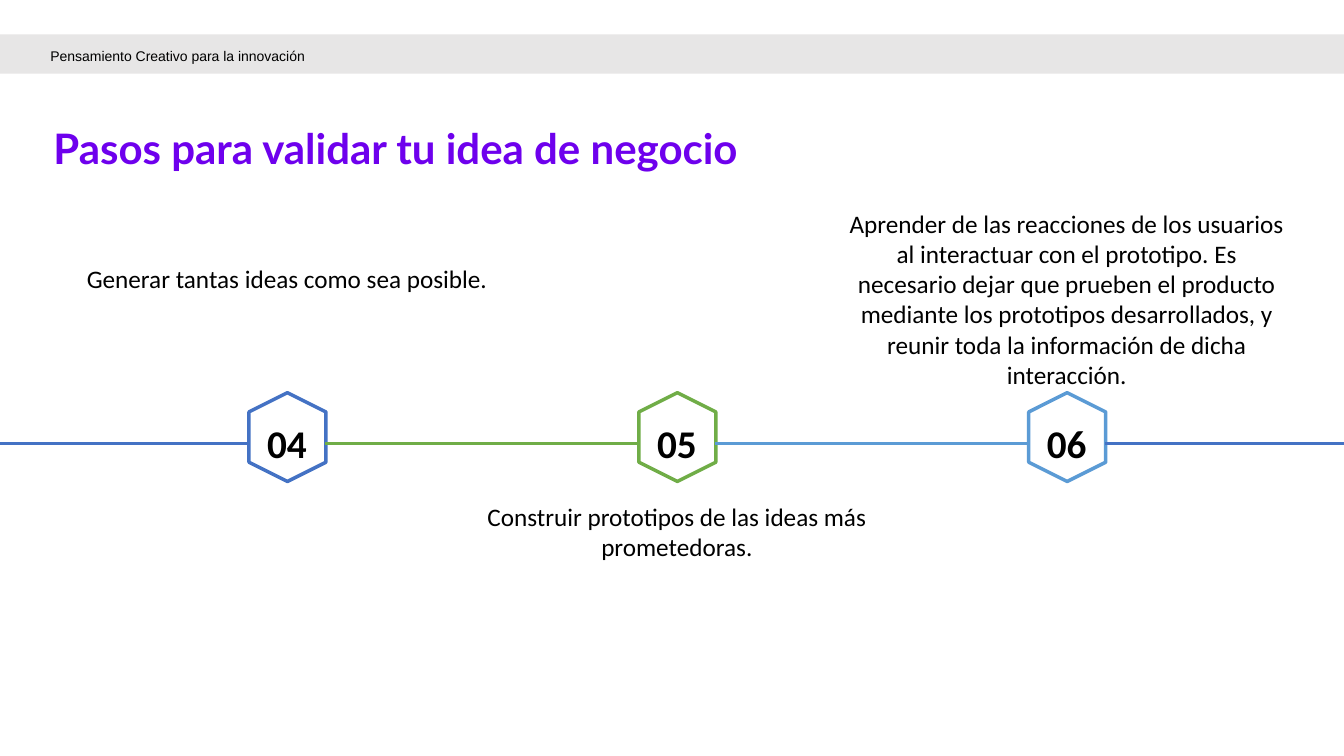
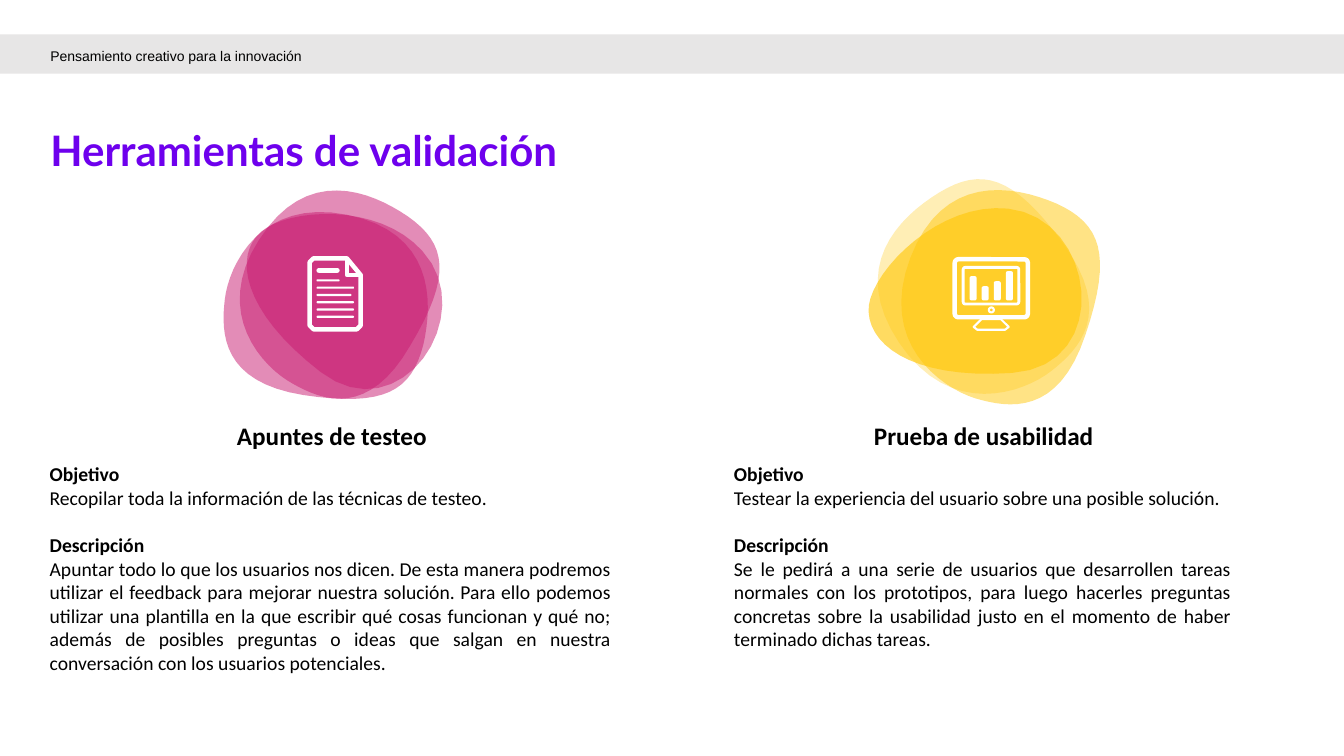
from lxml import etree
from pptx import Presentation
from pptx.dml.color import RGBColor
from pptx.enum.shapes import MSO_CONNECTOR, MSO_SHAPE
from pptx.enum.text import MSO_ANCHOR, MSO_AUTO_SIZE, PP_ALIGN
from pptx.oxml.ns import qn
from pptx.util import Pt

LEFT, CENTER, JUSTIFY = PP_ALIGN.LEFT, PP_ALIGN.CENTER, PP_ALIGN.JUSTIFY
TOP, MIDDLE = MSO_ANCHOR.TOP, MSO_ANCHOR.MIDDLE
RECTANGLE, ROUNDED = MSO_SHAPE.RECTANGLE, MSO_SHAPE.ROUNDED_RECTANGLE
OVAL, HEXAGON = MSO_SHAPE.OVAL, MSO_SHAPE.HEXAGON
STRAIGHT = MSO_CONNECTOR.STRAIGHT

BLACK = RGBColor(0x00, 0x00, 0x00)
WHITE = RGBColor(0xFF, 0xFF, 0xFF)
GRAY = RGBColor(0xE7, 0xE6, 0xE6)
PURPLE = RGBColor(0x6E, 0x00, 0xED)
BLUE = RGBColor(0x44, 0x72, 0xC4)
GREEN = RGBColor(0x70, 0xAD, 0x47)
SKY = RGBColor(0x5B, 0x9B, 0xD5)
YELLOW = RGBColor(0xFF, 0xC8, 0x0D)
PINK = RGBColor(0xC9, 0x1B, 0x71)

WIDTH, HEIGHT = 960, 540


def curve_points(controls, steps=16):
    """Sample a closed chain of cubic curves: anchor, control, control, ..."""
    points = []
    for start in range(0, len(controls), 3):
        a, b, c, d = (controls[(start + k) % len(controls)] for k in range(4))
        for step in range(steps):
            t = step / steps
            u = 1 - t
            points.append(tuple(
                u**3 * a[i] + 3 * u * u * t * b[i] + 3 * u * t * t * c[i] + t**3 * d[i]
                for i in (0, 1)))
    return points


class Deck:
    """The presentation style together with the current page."""

    def __init__(self):
        self.file = Presentation()
        self.file.slide_width, self.file.slide_height = Pt(WIDTH), Pt(HEIGHT)
        self.page = None

    def add_page(self, header, title, left, top):
        self.page = self.file.slides.add_slide(self.file.slide_layouts[1])
        # The band goes behind the placeholders
        band = self.shape(RECTANGLE, 0, 24.5, WIDTH, 28.2, fill=GRAY)
        self.page.shapes._spTree.insert(2, band._element)
        self.placeholder(self.page.shapes.title, title, (left, top, 717, 37.5),
                         MIDDLE, 0.6, 30, "Lato", PURPLE, True)
        self.placeholder(self.page.placeholders[1], header, (36, 28, 295, 23),
                         TOP, 1.5, 10, "Arial", BLACK, False)

    def placeholder(self, box, text, place, anchor, spacing, size, name, color, bold):
        box.left, box.top, box.width, box.height = map(Pt, place)
        frame = box.text_frame
        frame.auto_size, frame.word_wrap = MSO_AUTO_SIZE.NONE, True
        frame.margin_left = frame.margin_right = 0
        frame.margin_top = frame.margin_bottom = 0
        frame.vertical_anchor = anchor
        para = frame.paragraphs[0]
        para.text = text
        properties = para._p.get_or_add_pPr()
        properties.set("marL", "0")
        properties.set("indent", "0")
        etree.SubElement(properties, qn("a:buNone"))
        para.line_spacing = spacing
        self.format(para, LEFT, size, bold, name, color)

    def format(self, para, align, size, bold, name="Calibri", color=BLACK, before=0):
        para.alignment, para.space_before = align, Pt(before)
        font = para.font
        font.size, font.bold, font.name = Pt(size), bold, name
        font.color.rgb = color

    def text(self, left, top, width, height, paragraphs, size, align=CENTER):
        """Each paragraph is a tuple: text, bold, space before."""
        box = self.page.shapes.add_textbox(Pt(left), Pt(top), Pt(width), Pt(height))
        frame = box.text_frame
        frame.word_wrap = True
        for index, (text, bold, before) in enumerate(paragraphs):
            para = frame.add_paragraph() if index else frame.paragraphs[0]
            para.text = text
            self.format(para, align, size, bold, before=before)

    def paint(self, shape, fill, line, weight, opacity=100):
        shape.shadow.inherit = False
        if fill is None:
            shape.fill.background()
        else:
            shape.fill.solid()
            shape.fill.fore_color.rgb = fill
            if opacity < 100:
                color = shape._element.spPr.find(".//" + qn("a:srgbClr"))
                etree.SubElement(color, qn("a:alpha"), val=str(opacity * 1000))
        if line is None:
            shape.line.fill.background()
        else:
            shape.line.color.rgb = line
            shape.line.width = Pt(weight)

    def shape(self, kind, left, top, width, height, fill=None, line=None,
              weight=0, rounding=None):
        shape = self.page.shapes.add_shape(kind, Pt(left), Pt(top), Pt(width), Pt(height))
        self.paint(shape, fill, line, weight)
        if rounding is not None:
            shape.adjustments[0] = rounding
        return shape

    def outline(self, points, fill=None, line=None, weight=0, opacity=100, close=True):
        first, *rest = [(Pt(x), Pt(y)) for x, y in points]
        builder = self.page.shapes.build_freeform(*first)
        builder.add_line_segments(rest, close=close)
        self.paint(builder.convert_to_shape(), fill, line, weight, opacity)

    def line(self, start, end, y, color):
        line = self.page.shapes.add_connector(STRAIGHT, Pt(start), Pt(y), Pt(end), Pt(y))
        line.line.color.rgb = color
        line.line.width = Pt(2.5)
        etree.SubElement(line._element.spPr, qn("a:effectLst"))


# Timeline: number, colour, top and height of the caption, caption
STEPS = [
    ("04", BLUE, 184.3, 29, "Generar tantas ideas como sea posible."),
    ("05", GREEN, 354.2, 51, "Construir prototipos de las ideas más prometedoras."),
    ("06", SKY, 145, 138,
     "Aprender de las reacciones de los usuarios al interactuar con el prototipo. "
     "Es necesario dejar que prueben el producto mediante los prototipos "
     "desarrollados, y reunir toda la información de dicha interacción."),
]
FIRST_CENTER, STEP_GAP, HALF_GAP = 205, 278.5, 27.5

# Overlapping blobs: opacity and curve points
YELLOW_BLOBS = [
    (30, [(671, 137.5), (641.5, 155.5), (606.2, 190.8), (642.2, 244.8),
          (679, 299.5), (730.8, 280.8), (751, 265), (771.1, 249.1),
          (795.6, 223.9), (759.6, 174.2), (723.6, 124.6), (700.6, 119.5)]),
    (50, [(754.6, 145.4), (722.9, 131.8), (673.2, 123.8), (650.2, 184.3),
          (627.1, 244.8), (671.8, 276.5), (696.2, 284.4), (720.7, 291.6),
          (756, 297.4), (775.4, 239), (794.9, 181.4), (786.2, 159.8)]),
    (65, [(720, 149), (671, 144), (624.2, 192.2), (620.6, 218.2), (617.8, 244.1),
          (648.7, 271.4), (722.9, 266.4), (796.3, 261.4), (782.6, 155.5)]),
]
PINK_BLOBS = [
    (50, [(291.6, 154.8), (264.2, 136.1), (218.9, 118.1), (185, 171.4),
          (151.2, 223.9), (187.9, 262.8), (209.5, 274.3), (231.1, 286.6),
          (263.5, 298.1), (293, 247), (323.3, 196.6), (319, 174.2)]),
    (50, [(302.4, 246.2), (309.6, 214.6), (309.6, 165.6), (247.7, 153.4),
          (186.5, 141.1), (163.4, 189.4), (160.6, 213.8), (157.7, 238.3),
          (158.4, 272.9), (216.7, 282.2), (275, 290.9), (293.8, 279.4)]),
    (50, [(301.7, 179.3), (270, 144), (205.2, 149), (186.5, 165.6), (167, 182.2),
          (172.1, 221.8), (229, 265.7), (285.8, 309.6), (343.4, 224.6)]),
]

# Tools: colour, blobs, name and its left, text left and width, goal, description
TOOLS = [
    (YELLOW, YELLOW_BLOBS, "Prueba de usabilidad", 604.8, 517.2, 369.4,
     "Testear la experiencia del usuario sobre una posible solución.",
     "Se le pedirá a una serie de usuarios que desarrollen tareas normales con los "
     "prototipos, para luego hacerles preguntas concretas sobre la usabilidad justo "
     "en el momento de haber terminado dichas tareas."),
    (PINK, PINK_BLOBS, "Apuntes de testeo", 139.2, 28.4, 415.4,
     "Recopilar toda la información de las técnicas de testeo.",
     "Apuntar todo lo que los usuarios nos dicen. De esta manera podremos utilizar "
     "el feedback para mejorar nuestra solución. Para ello podemos utilizar una "
     "plantilla en la que escribir qué cosas funcionan y qué no; además de posibles "
     "preguntas o ideas que salgan en nuestra conversación con los usuarios "
     "potenciales."),
]


def add_steps(deck):
    deck.add_page("Pensamiento Creativo para la innovación",
                  "Pasos para validar tu idea de negocio", 38.2, 92.2)
    start = 0
    for index, (number, color, top, height, caption) in enumerate(STEPS):
        center = FIRST_CENTER + index * STEP_GAP
        deck.line(start, center - HALF_GAP, 316.8, color)
        start = center + HALF_GAP
        deck.text(center - 164.5, top, 329, height, [(caption, False, 0)], 18)
        hexagon = deck.shape(HEXAGON, center - 31.4, 284.7, 63.4, 55,
                             line=color, weight=2.5)
        hexagon.rotation = 90
        deck.text(center - HALF_GAP, 296, 2 * HALF_GAP, 41, [(number, True, 0)], 28)
    deck.line(start, WIDTH, 316.8, BLUE)


def add_monitor(deck):
    deck.shape(ROUNDED, 682, 185.2, 52.2, 41.4, line=WHITE, weight=3.2, rounding=0.06)
    deck.shape(ROUNDED, 688, 191, 39.8, 26.2, line=WHITE, weight=2, rounding=0.06)
    for index, height in enumerate((17.3, 10.1, 13.7, 20.9)):
        deck.shape(ROUNDED, 692.6 + 8.64 * index, 214.6 - height, 5, height,
                   fill=WHITE, rounding=0.25)
    deck.shape(OVAL, 706.3, 219.6, 3.6, 3.6, line=WHITE, weight=1.5)
    deck.outline([(701, 228), (695.5, 233.5), (698, 235.5), (718, 235.5),
                  (720.5, 233.5), (715, 228)], line=WHITE, weight=1.5)


def add_document(deck):
    deck.outline([(224, 184.5), (247.8, 184.5), (257.7, 196.5), (257.7, 232.4),
                  (254.9, 235.2), (224, 235.2), (221.2, 232.4), (221.2, 187.3)],
                 line=WHITE, weight=3.2)
    deck.outline([(247.8, 184.5), (247.8, 196.5), (257.7, 196.5)],
                 line=WHITE, weight=3.2, close=False)
    deck.shape(ROUNDED, 226.1, 191.5, 16.5, 3.4, fill=WHITE, rounding=0.5)
    for index, width in enumerate((16.5, 26.8, 25, 26.8, 26.8, 26.8)):
        deck.shape(ROUNDED, 226.1, 199.5 + 5.2 * index, width, 1.6,
                   fill=WHITE, rounding=0.5)


def add_tools(deck):
    deck.add_page("Pensamiento creativo para la innovación",
                  "Herramientas de validación", 36, 93.6)
    for color, blobs, name, name_left, left, width, goal, description in TOOLS:
        for opacity, controls in blobs:
            deck.outline(curve_points(controls), fill=color, opacity=opacity)
        deck.text(left, 326.5, width, 160,
                  [("Objetivo", True, 0), (goal, False, 0),
                   ("Descripción", True, 17), (description, False, 0)], 14, JUSTIFY)
        deck.text(name_left, 297, 195.8, 29, [(name, True, 0)], 18)
    add_monitor(deck)
    add_document(deck)


def main():
    deck = Deck()
    add_steps(deck)
    add_tools(deck)
    deck.file.save("out.pptx")


if __name__ == "__main__":
    main()
